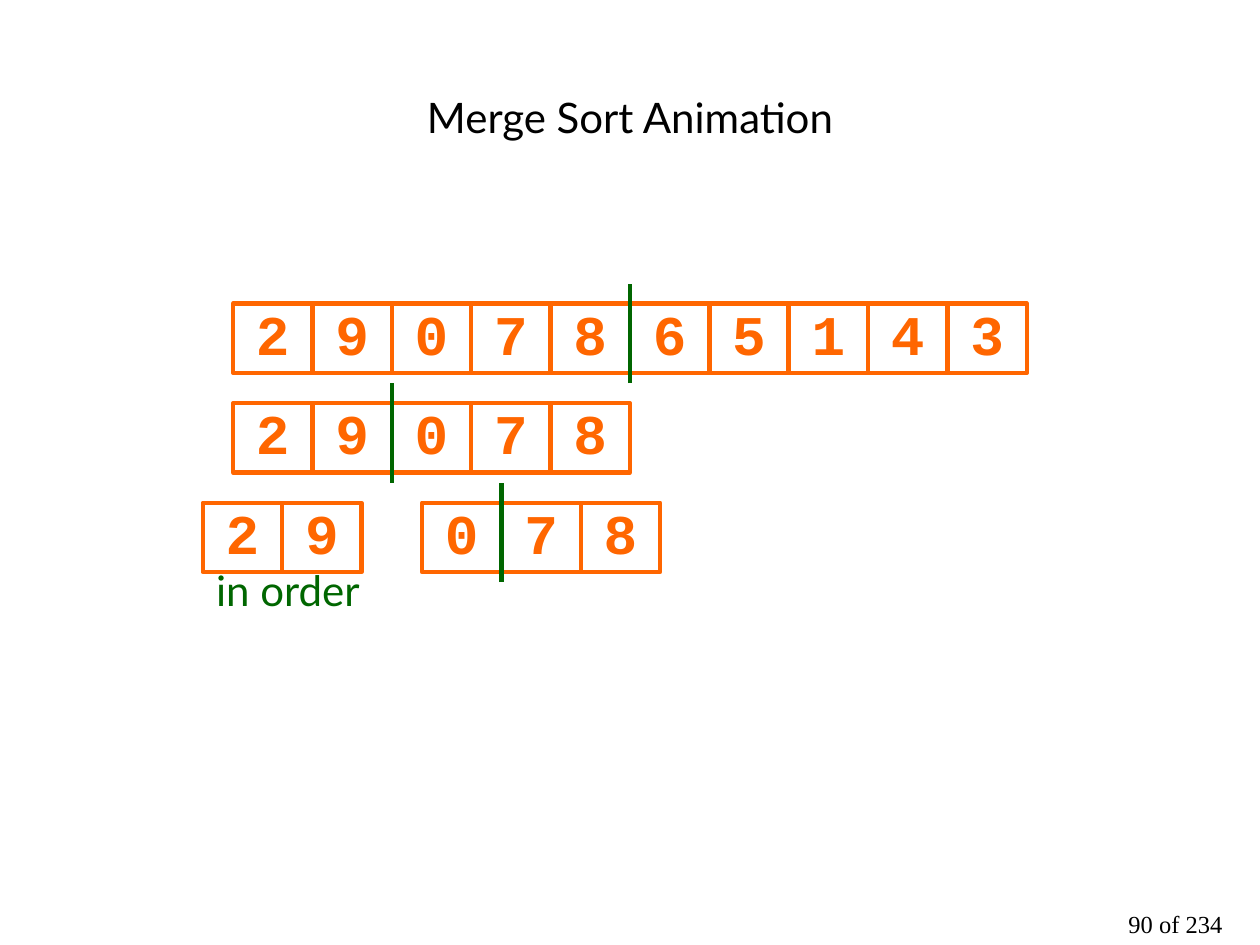
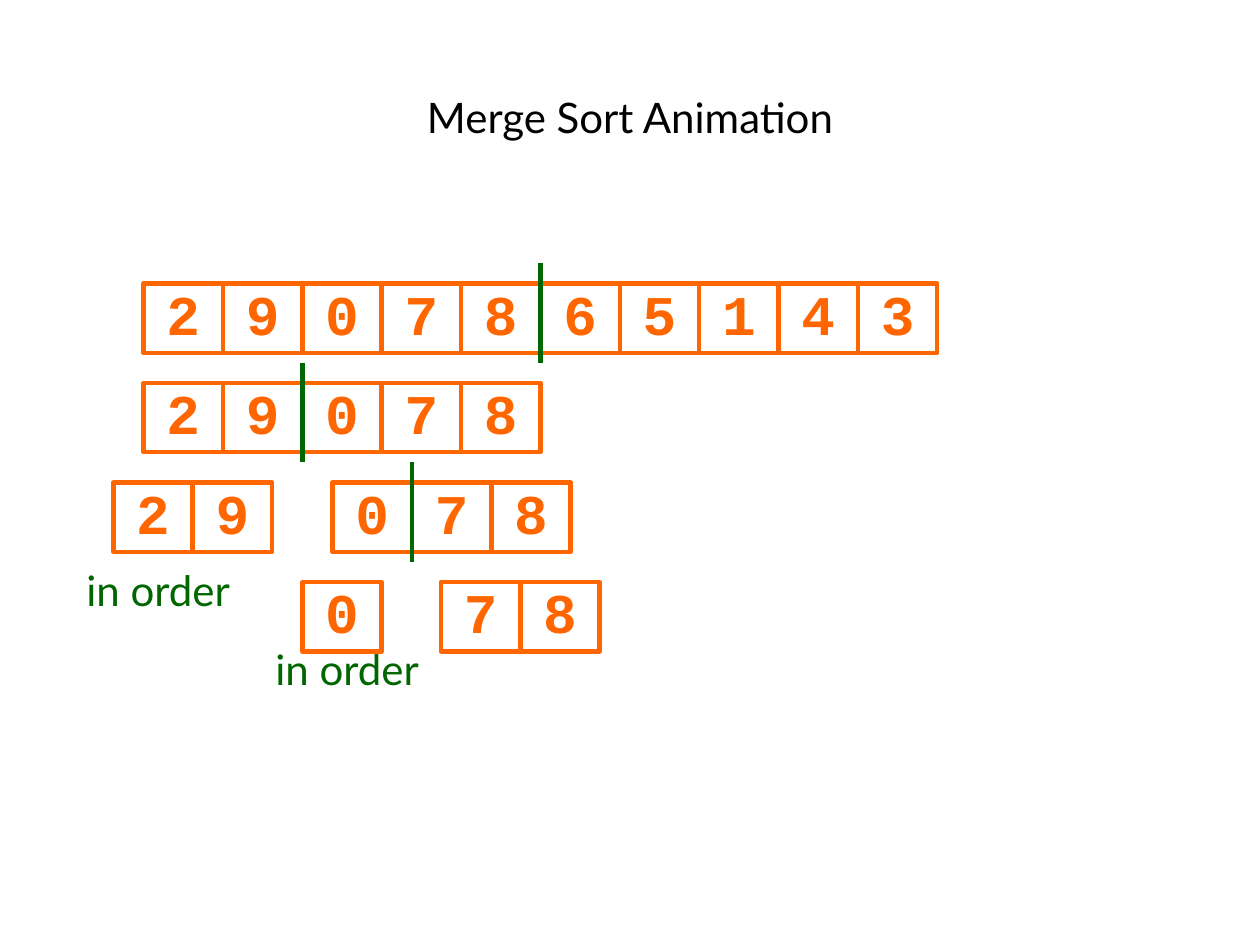
import pptx
import pptx.util
from pptx.dml.color import RGBColor
from pptx.enum.shapes import MSO_CONNECTOR, MSO_SHAPE
from pptx.enum.text import MSO_ANCHOR, MSO_AUTO_SIZE, PP_ALIGN
from pptx.oxml.ns import qn
from pptx.util import Inches
from lxml import etree

BLACK = RGBColor(0x00, 0x00, 0x00)
ORANGE = RGBColor(0xFF, 0x66, 0x00)
GREEN = RGBColor(0x00, 0x66, 0x00)

CELL_WIDTH, CELL_HEIGHT = 0.63, 0.55
ROW_PITCH = 0.79
SPLIT_RISE = 0.16  # how far a split line starts above its row
LINE_WIDTH = pptx.util.Pt(2.5)


def write(shape, text, size, font, color, bold=False, spacing=1.0, margins=(0, 0),
          anchor=MSO_ANCHOR.TOP):
    frame = shape.text_frame
    frame.word_wrap = True
    frame.vertical_anchor = anchor
    frame.margin_left = frame.margin_right = Inches(margins[0])
    frame.margin_top = frame.margin_bottom = Inches(margins[1])
    frame.text = text
    paragraph = frame.paragraphs[0]
    paragraph.alignment = PP_ALIGN.CENTER
    paragraph.line_spacing = spacing
    paragraph.font.size = pptx.util.Pt(size)
    paragraph.font.name = font
    paragraph.font.bold = bold
    paragraph.font.color.rgb = color


# Each step: top of the first row, then rows of (left, digits, cells before the split),
# places of the "in order" labels, and the page number
steps = [
    {
        "top": 2.41,
        "rows": [
            [(1.85, "2907865143", 5)],
            [(1.85, "29078", 2)],
            [(1.61, "29", None), (3.35, "078", 1)],
        ],
        "labels": [(1.38, 4.54)],
        "page": "90 of 234",
    },
    {
        "top": 2.25,
        "rows": [
            [(1.14, "2907865143", 5)],
            [(1.14, "29078", 2)],
            [(0.9, "29", None), (2.64, "078", 1)],
            [(2.4, "0", None), (3.5, "78", None)],
        ],
        "labels": [(0.35, 4.54), (1.85, 5.17)],
        "page": None,
    },
]

presentation = pptx.Presentation()
presentation.slide_width = Inches(10)
presentation.slide_height = Inches(7.5)

for step in steps:
    slide = presentation.slides.add_slide(presentation.slide_layouts[5])

    # Title
    title = slide.shapes.title
    title.left, title.top = Inches(0.5), Inches(0.3)
    title.width, title.height = Inches(9), Inches(1.25)
    write(title, "Merge Sort Animation", size=24, font="Lato", color=BLACK,
          margins=(0.1, 0.05), anchor=MSO_ANCHOR.MIDDLE)

    # Page number
    if step["page"]:
        page_box = slide.shapes.add_textbox(
            Inches(8.66), Inches(7.22), Inches(1.34), Inches(0.28))
        write(page_box, step["page"], size=14, font="Times New Roman", color=BLACK,
              spacing=0.75, margins=(0.1, 0.05))

    # Array cells
    splits = []
    for row_index, arrays in enumerate(step["rows"]):
        top = step["top"] + row_index * ROW_PITCH
        for left, digits, split in arrays:
            for column, digit in enumerate(digits):
                cell = slide.shapes.add_shape(
                    MSO_SHAPE.RECTANGLE, Inches(left + column * CELL_WIDTH), Inches(top),
                    Inches(CELL_WIDTH), Inches(CELL_HEIGHT))
                cell.shadow.inherit = False
                cell.fill.background()
                cell.line.color.rgb = ORANGE
                cell.line.width = LINE_WIDTH
                write(cell, digit, size=32, font="Courier New", color=ORANGE, bold=True,
                      spacing=0.85, anchor=MSO_ANCHOR.MIDDLE)
            if split:
                splits.append((left + split * CELL_WIDTH, top - SPLIT_RISE))

    # Split lines, drawn over the cells
    for x, y in splits:
        split_line = slide.shapes.add_connector(
            MSO_CONNECTOR.STRAIGHT, Inches(x), Inches(y + ROW_PITCH), Inches(x), Inches(y))
        split_line.line.color.rgb = GREEN
        split_line.line.width = LINE_WIDTH
        etree.SubElement(split_line._element.spPr, qn("a:effectLst"))

    # Labels under the sorted parts
    for left, top in step["labels"]:
        label = slide.shapes.add_textbox(
            Inches(left), Inches(top), Inches(1.81), Inches(0.34))
        write(label, "in order", size=24, font="Lato", color=GREEN, spacing=0.85)
        label.text_frame.auto_size = MSO_AUTO_SIZE.SHAPE_TO_FIT_TEXT

presentation.save("out.pptx")
